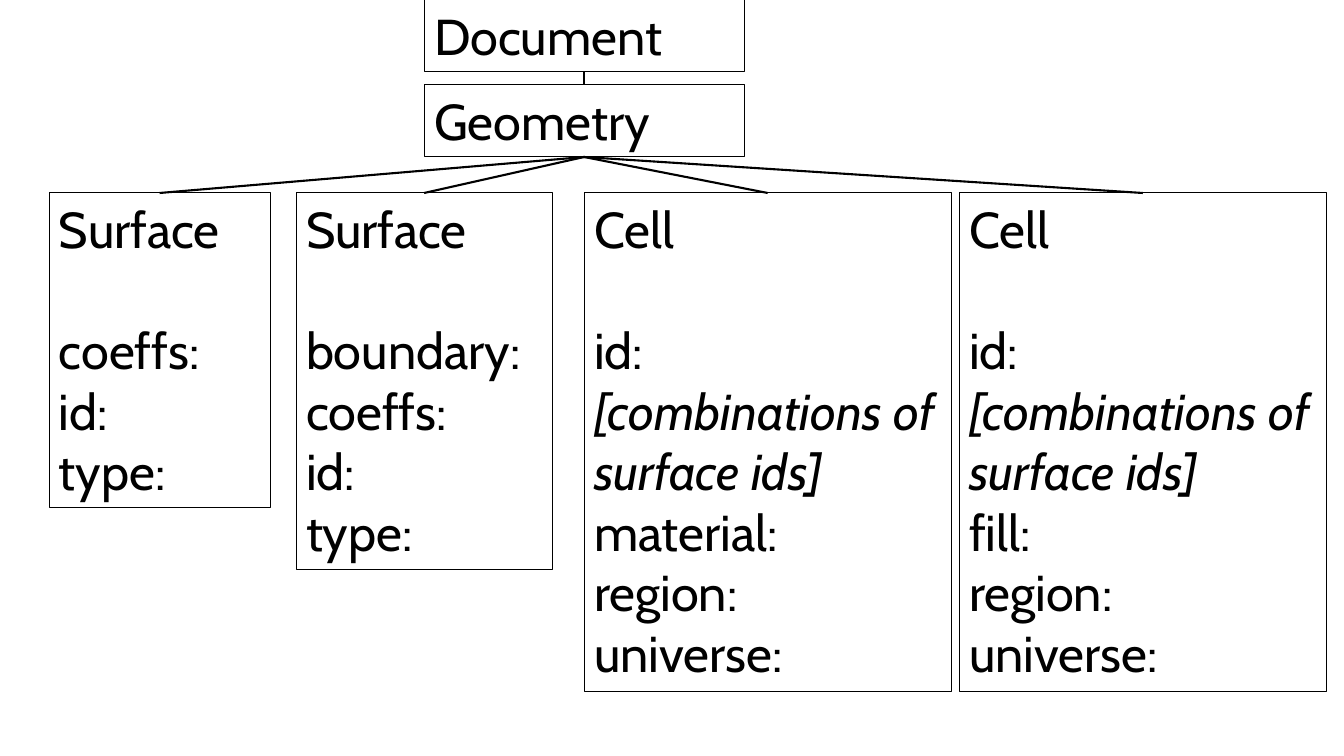
from pptx import Presentation
from pptx import util as u
from pptx.dml.color import RGBColor
from pptx.enum import shapes, text
from pptx.oxml.ns import qn
from lxml import etree

INK, FONT, SIZE, LINE = "000000", "Cabin", 36, 43.5
SCALE = 914400 / 100.8  # EMU in one px

# left, top, width, height, name, fields
ROOT = (424, 0, 320, 72, "Document", [])
GEOM = (424, 85, 320, 72, "Geometry", [])
TOP = 193
NOTE = "[combinations of surface ids]"
LEAVES = [
    (49, TOP, 221, 315, "Surface", ["coeffs:", "id:", "type:"]),
    (296, TOP, 256, 377, "Surface", ["boundary:", "coeffs:", "id:", "type:"]),
    (584, TOP, 367, 499, "Cell",
     [("id:", NOTE), "material:", "region:", "universe:"]),
    (959, TOP, 367, 499, "Cell",
     [("id:", NOTE), "fill:", "region:", "universe:"]),
]


def px(n):
    return u.Emu(round(n * SCALE))


def color(code):
    return RGBColor.from_string(code)


def add_run(para, words, slant=False):
    run = para.add_run()
    run.text = words
    font = run.font
    font.name, font.size, font.italic = FONT, u.Pt(SIZE), slant
    font.color.rgb = color(INK)


def add_box(slide, left, top, width, height, name, fields):
    box = slide.shapes.add_shape(
        shapes.MSO_SHAPE.RECTANGLE, px(left), px(top), px(width), px(height))
    box.shadow.inherit = False
    box.fill.background()
    box.line.color.rgb = color(INK)
    box.line.width = u.Pt(0.75)
    frame = box.text_frame
    frame.word_wrap = True
    frame.vertical_anchor = text.MSO_ANCHOR.TOP
    para = frame.paragraphs[0]
    para.alignment = text.PP_ALIGN.LEFT
    add_run(para, name)
    if fields:
        para.space_after = u.Pt(LINE)
    for field in fields:
        para = frame.add_paragraph()
        para.alignment = text.PP_ALIGN.LEFT
        if isinstance(field, tuple):
            label, note = field
            add_run(para, label)
            para.add_line_break()
            add_run(para, note, True)
        else:
            add_run(para, field)


def join(slide, upper, lower):
    """Link the bottom middle of one box to the top middle of another."""
    left, top, width, height = upper[:4]
    link = slide.shapes.add_connector(
        shapes.MSO_CONNECTOR.STRAIGHT,
        px(left + width / 2), px(top + height),
        px(lower[0] + lower[2] / 2), px(lower[1]))
    link.line.color.rgb = color(INK)
    link.line.width = u.Pt(1.5)
    etree.SubElement(link._element.spPr, qn("a:effectLst"))


def main():
    deck = Presentation()
    deck.slide_width, deck.slide_height = u.Inches(13.33), u.Inches(7.5)
    slide = deck.slides.add_slide(deck.slide_layouts[6])
    for box in [ROOT, GEOM, *LEAVES]:
        add_box(slide, *box)
    join(slide, ROOT, GEOM)
    for leaf in LEAVES:
        join(slide, GEOM, leaf)
    deck.save("out.pptx")


if __name__ == "__main__":
    main()
